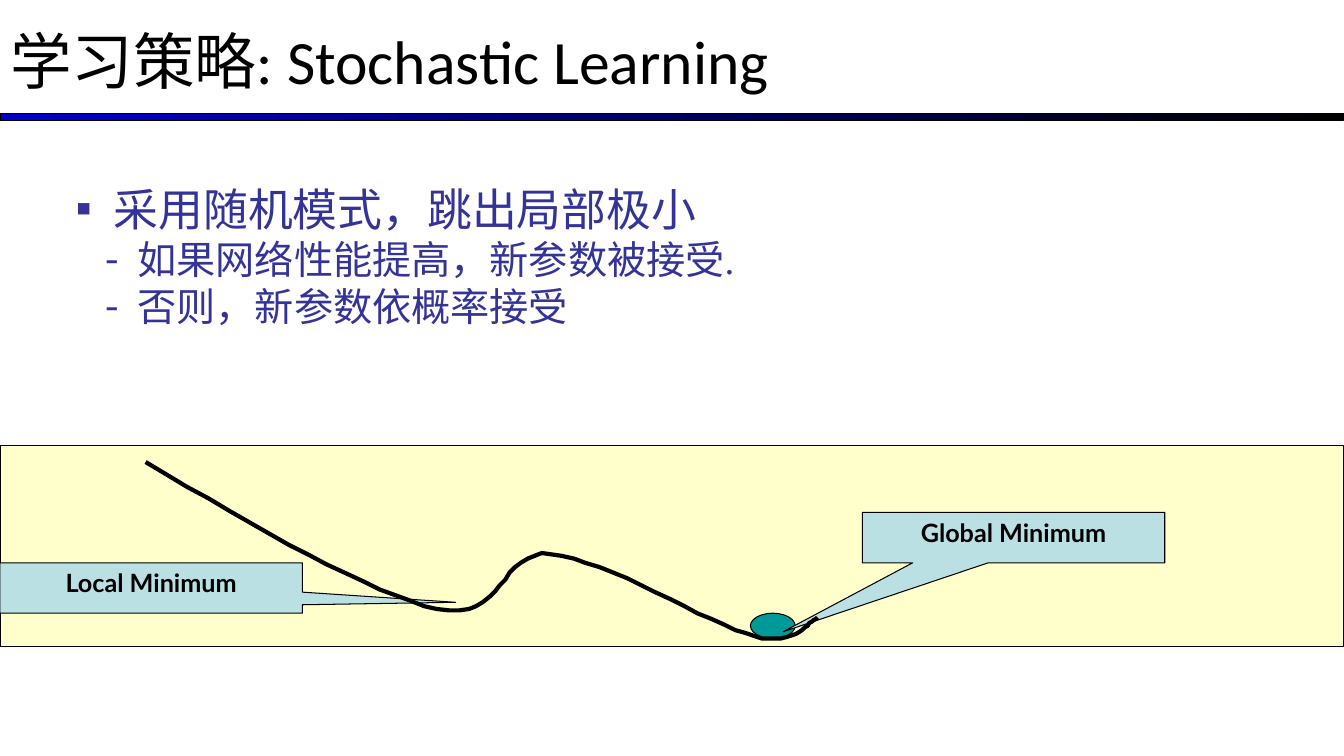
from dataclasses import dataclass

from lxml import etree
from pptx import Presentation
from pptx.dml.color import RGBColor
from pptx.enum.shapes import MSO_SHAPE
from pptx.enum.text import MSO_ANCHOR, MSO_AUTO_SIZE, PP_ALIGN
from pptx.oxml.ns import qn
from pptx.shapes.autoshape import Shape
from pptx.text.text import TextFrame, _Paragraph
from pptx.util import Pt

RECTANGLE = MSO_SHAPE.RECTANGLE
OVAL = MSO_SHAPE.OVAL
CALLOUT = MSO_SHAPE.RECTANGULAR_CALLOUT
LEFT, CENTER = PP_ALIGN.LEFT, PP_ALIGN.CENTER
TOP, MIDDLE = MSO_ANCHOR.TOP, MSO_ANCHOR.MIDDLE
NO_AUTOFIT = MSO_AUTO_SIZE.NONE

COLORS = {
    "black": "000000",
    "blue": "0000CC",
    "indigo": "333399",
    "cream": "FFFFCC",
    "teal": "009999",
    "pale": "BBE0E3",
}
WIDTH, HEIGHT = 960, 540
CURVE_STEPS = 16

Point = tuple[float, float]
Box = tuple[float, float, float, float]


@dataclass(frozen=True)
class Bullet:
    text: str
    symbol: str
    size: float
    font: str
    margin: float
    indent: float


@dataclass(frozen=True)
class Callout:
    text: str
    box: Box
    tip: Point


BULLETS = [
    Bullet("采用随机模式，跳出局部极小", "▪", 32, "Calibri", 34, -27),
    Bullet("如果网络性能提高，新参数被接受.", "-", 28, "Times New Roman", 51, -23),
    Bullet("否则，新参数依概率接受", "-", 28, "Times New Roman", 51, -23),
]
CALLOUTS = [
    Callout("Local Minimum", (0, 402, 216, 36), (1.007, 0.285)),
    Callout("Global Minimum", (616, 366, 216, 36), (-0.762, 1.868)),
]
CURVE_START = (104, 330)
CURVE_PIECES = [
    ((184, 377), (264, 424), (312.5, 435)),
    ((361, 446), (356, 392), (394, 395.5)),
    ((431, 399), (507, 446), (538.5, 454.5)),
    ((570, 462), (577, 443.5), (584, 441)),
]


def color(name: str) -> RGBColor:
    return RGBColor.from_string(COLORS[name])


def set_attributes(target: object, values: dict[str, object]) -> None:
    for name, value in values.items():
        setattr(target, name, value)


def place(shape: Shape, box: Box) -> None:
    names = ("left", "top", "width", "height")
    set_attributes(shape, {name: Pt(value) for name, value in zip(names, box)})


def outline(shape: Shape, width: float) -> None:
    shape.shadow.inherit = False
    shape.line.color.rgb = color("black")
    shape.line.width = Pt(width)


def add_outlined(shapes, kind: MSO_SHAPE, box: Box, fill: str) -> Shape:
    shape = shapes.add_shape(kind, *(Pt(value) for value in box))
    shape.fill.solid()
    shape.fill.fore_color.rgb = color(fill)
    outline(shape, 0.75)
    return shape


def write(paragraph: _Paragraph, text: str, hue: str, values: dict[str, object]) -> None:
    run = paragraph.add_run()
    run.text = text
    run.font.color.rgb = color(hue)
    set_attributes(run.font, values)


def format_frame(frame: TextFrame, anchor: MSO_ANCHOR) -> None:
    set_attributes(frame, {
        "word_wrap": True, "auto_size": NO_AUTOFIT, "vertical_anchor": anchor,
        "margin_left": Pt(7.2), "margin_right": Pt(7.2),
        "margin_top": Pt(3.6), "margin_bottom": Pt(3.6),
    })


def set_bullet(paragraph: _Paragraph, bullet: Bullet) -> None:
    properties = paragraph._p.get_or_add_pPr()
    properties.set("marL", str(Pt(bullet.margin)))
    properties.set("indent", str(Pt(bullet.indent)))
    bullet_color = etree.SubElement(properties, qn("a:buClr"))
    etree.SubElement(bullet_color, qn("a:srgbClr"), val=COLORS["indigo"])
    etree.SubElement(properties, qn("a:buFont"), typeface=bullet.font)
    etree.SubElement(properties, qn("a:buChar"), char=bullet.symbol)


def add_title(title: Shape) -> None:
    place(title, (0, -2, WIDTH, 90))
    format_frame(title.text_frame, MIDDLE)
    paragraph = title.text_frame.paragraphs[0]
    paragraph.alignment = LEFT
    write(paragraph, "学习策略: Stochastic Learning", "black",
          {"size": Pt(44), "name": "Calibri"})


def add_bullets(body: Shape) -> None:
    place(body, (40, 126, 888, 336))
    frame = body.text_frame
    format_frame(frame, TOP)
    for index, bullet in enumerate(BULLETS):
        paragraph = frame.add_paragraph() if index else frame.paragraphs[0]
        set_attributes(paragraph, {"alignment": LEFT, "space_before": Pt(0)})
        set_bullet(paragraph, bullet)
        write(paragraph, bullet.text, "indigo",
              {"size": Pt(bullet.size), "name": bullet.font})


def add_title_bar(shapes) -> None:
    bar = add_outlined(shapes, RECTANGLE, (0, 81, WIDTH, 5), "blue")
    bar.fill.gradient()
    bar.fill.gradient_angle = 0
    for position, (stop, hue) in enumerate(zip(bar.fill.gradient_stops, ("blue", "black"))):
        stop.position = position
        stop.color.rgb = color(hue)


def add_callout(shapes, callout: Callout) -> None:
    shape = add_outlined(shapes, CALLOUT, callout.box, "pale")
    for index, value in enumerate(callout.tip):
        shape.adjustments[index] = value
    format_frame(shape.text_frame, TOP)
    paragraph = shape.text_frame.paragraphs[0]
    paragraph.alignment = CENTER
    write(paragraph, callout.text, "black", {"size": Pt(18), "name": "Lato", "bold": True})


def bezier_point(points: tuple[Point, ...], t: float) -> Point:
    weights = ((1 - t) ** 3, 3 * t * (1 - t) ** 2, 3 * t * t * (1 - t), t ** 3)
    x, y = (sum(w * p[axis] for w, p in zip(weights, points)) for axis in (0, 1))
    return x, y


def add_error_curve(shapes) -> None:
    """Draw the error surface as short chords along its cubic pieces."""
    builder = shapes.build_freeform(*CURVE_START, scale=Pt(1))
    start = CURVE_START
    for piece in CURVE_PIECES:
        points = (start, *piece)
        builder.add_line_segments(
            [bezier_point(points, step / CURVE_STEPS) for step in range(1, CURVE_STEPS + 1)],
            close=False)
        start = piece[-1]
    curve = builder.convert_to_shape()
    curve.fill.background()
    outline(curve, 3)


def main() -> None:
    presentation = Presentation()
    presentation.slide_width, presentation.slide_height = Pt(WIDTH), Pt(HEIGHT)
    slide = presentation.slides.add_slide(presentation.slide_layouts[1])
    add_title(slide.shapes.title)
    add_bullets(slide.placeholders[1])
    add_title_bar(slide.shapes)
    diagram = slide.shapes.add_group_shape().shapes
    add_outlined(diagram, RECTANGLE, (0, 318, WIDTH, 144), "cream")
    add_outlined(diagram, OVAL, (536, 438, 32, 18), "teal")
    for callout in CALLOUTS:
        add_callout(diagram, callout)
    add_error_curve(diagram)
    presentation.save("out.pptx")


if __name__ == "__main__":
    main()
